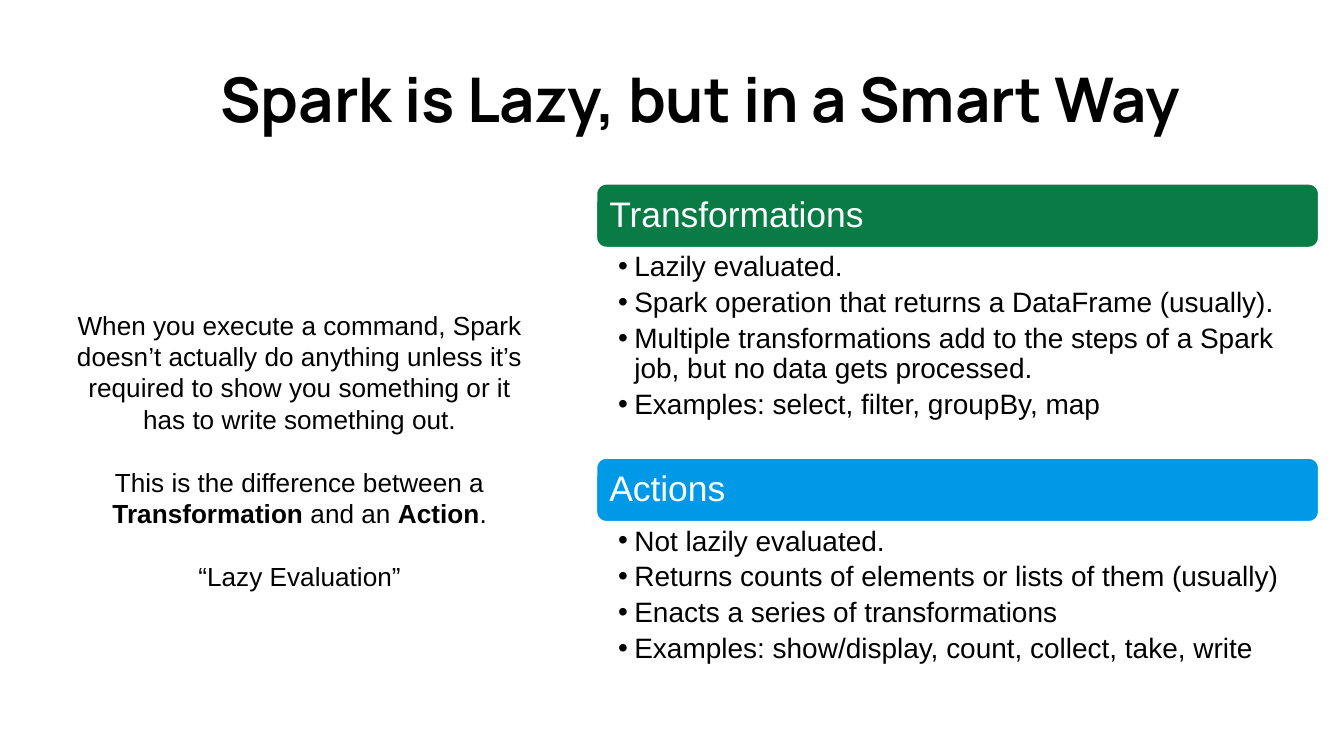
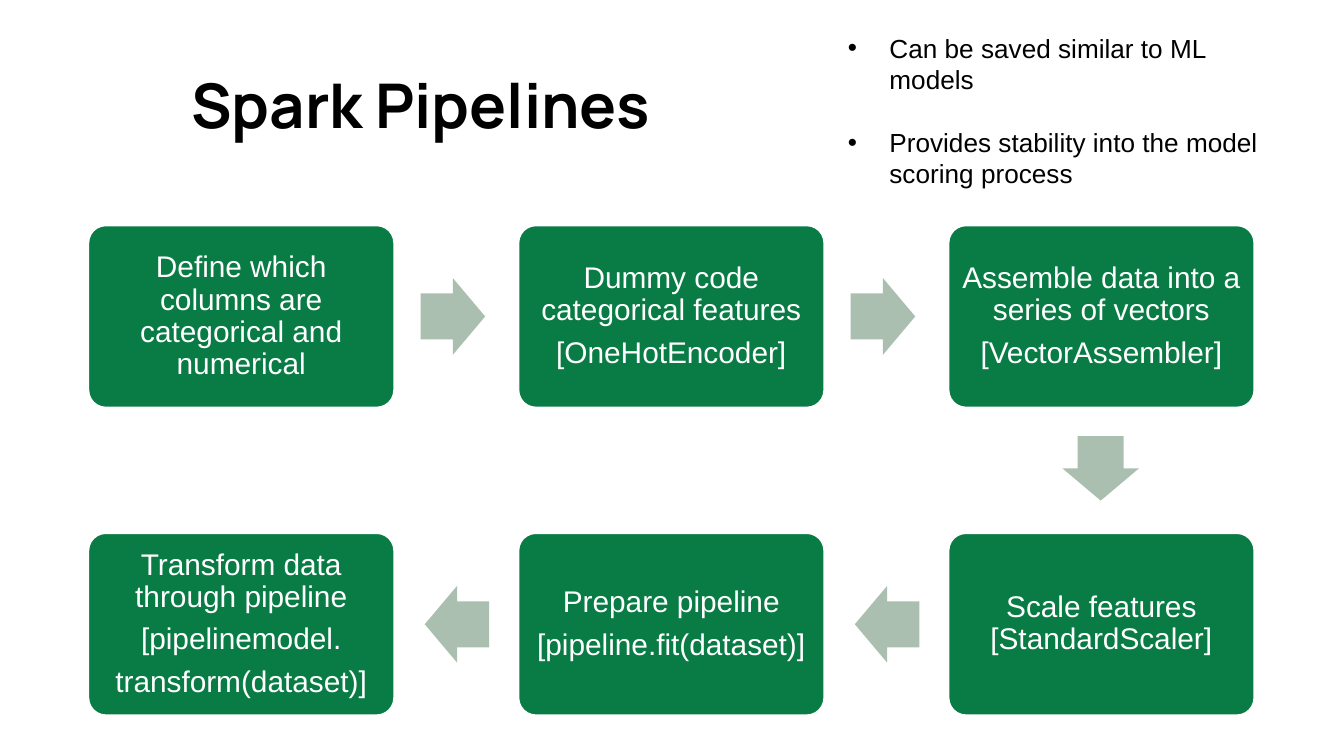
"""Two slides on lazy evaluation and pipelines in Spark."""
from lxml import etree
from pptx import Presentation
from pptx.dml.color import RGBColor
from pptx.enum.shapes import MSO_SHAPE
from pptx.enum.text import MSO_ANCHOR, PP_ALIGN
from pptx.oxml.ns import qn
from pptx.util import Inches, Pt

ROUND = MSO_SHAPE.ROUNDED_RECTANGLE
ARROW = MSO_SHAPE.RIGHT_ARROW
TOP, MIDDLE = MSO_ANCHOR.TOP, MSO_ANCHOR.MIDDLE
LEFT, CENTER = PP_ALIGN.LEFT, PP_ALIGN.CENTER
HUES = {"black": "000000", "white": "FFFFFF", "green": "097C45",
        "blue": "0099E8", "sage": "ABBFB1"}


def write(shape, lines, size, hue="black", font="Arial", bold=False, align=LEFT,
          anchor=TOP, pads=(0.1, 0.05, 0.1, 0.05), lead=None, after=0, indent=0):
    """Fill a shape with paragraphs; every second part of a list is bold."""
    frame = shape.text_frame
    frame.word_wrap = True
    frame.vertical_anchor = anchor
    (frame.margin_left, frame.margin_top,
     frame.margin_right, frame.margin_bottom) = [Inches(pad) for pad in pads]
    for i, line in enumerate(lines):
        para = frame.paragraphs[0] if i == 0 else frame.add_paragraph()
        para.alignment = align
        if lead:
            para.line_spacing = lead
        para.space_after = Pt(after if i < len(lines) - 1 else 0)
        for j, part in enumerate([line] if isinstance(line, str) else line):
            run = para.add_run()
            run.text = part
            run.font.name = font
            run.font.size = Pt(size)
            run.font.bold = bold or j % 2 == 1
            run.font.color.rgb = RGBColor.from_string(HUES[hue])
        if indent:
            props = para._p.get_or_add_pPr()
            props.set("marL", str(Inches(indent)))
            props.set("indent", str(Inches(-indent)))
            etree.SubElement(props, qn("a:buFont")).set("typeface", font)
            etree.SubElement(props, qn("a:buChar")).set("char", "•")


def draw(slide, kind, box, hue, edge=None):
    """Add a filled preset shape, or a text box when kind is None."""
    place = [Inches(n) for n in box]
    if kind is None:
        return slide.shapes.add_textbox(*place)
    shape = slide.shapes.add_shape(kind, *place)
    shape.shadow.inherit = False
    shape.fill.solid()
    shape.fill.fore_color.rgb = RGBColor.from_string(HUES[hue])
    if edge:
        shape.line.color.rgb = RGBColor.from_string(HUES[edge])
        shape.line.width = Pt(2)
    else:
        shape.line.fill.background()
    return shape


deck = Presentation()
deck.slide_width, deck.slide_height = Inches(10), Inches(10 * 9 / 16)

slides = []
for title, box in [("Spark is Lazy, but in a Smart Way", (0.91, 0.35, 8.6, 0.69)),
                   ("Spark Pipelines", (0.53, 0.4, 5.2, 0.69))]:
    slide = deck.slides.add_slide(deck.slide_layouts[6])
    write(draw(slide, None, box, None), [title], 33, font="Manrope", bold=True,
          align=CENTER, pads=[0.1] * 4)
    slides.append(slide)
lazy, flow = slides

write(draw(lazy, None, (0.46, 2.25, 3.54, 2.22), None), [
    "When you execute a command, Spark doesn’t actually do anything unless it’s "
    "required to show you something or it has to write something out.",
    ["This is the difference between a ", "Transformation", " and an ", "Action", "."],
    "“Lazy Evaluation”"], 14, align=CENTER, after=16.8)

kinds = [
    ("Transformations", "green", 1.36, 1.55, [
        "Lazily evaluated.",
        "Spark operation that returns a DataFrame (usually).",
        "Multiple transformations add to the steps of a Spark job, "
        "but no data gets processed.",
        "Examples: select, filter, groupBy, map"]),
    ("Actions", "blue", 3.4, 1.08, [
        "Not lazily evaluated.",
        "Returns counts of elements or lists of them (usually)",
        "Enacts a series of transformations",
        "Examples: show/display, count, collect, take, write"])]
for name, hue, top, tall, points in kinds:
    bar = draw(lazy, ROUND, (4.43, top, 5.39, 0.49), hue, "white")
    write(bar, [name], 19, "white", anchor=MIDDLE, pads=[0.08] * 4, lead=0.9)
    body = draw(lazy, None, (4.43, top + 0.49, 5.39, tall), None)
    write(body, points, 15, pads=(0.17, 0.03, 0.15, 0.03), lead=0.9, after=3,
          indent=0.12)

steps = [
    ["Define which columns are categorical and numerical"],
    ["Dummy code categorical features", "[OneHotEncoder]"],
    ["Assemble data into a series of vectors", "[VectorAssembler]"],
    ["Scale features [StandardScaler]"],
    ["Prepare pipeline", "[pipeline.fit(dataset)]"],
    ["Transform data through pipeline", "[pipelinemodel.", "transform(dataset)]"]]
for i, lines in enumerate(steps):
    row = i // 3
    col = 5 - i if row else i
    left, top = 0.65 + 3.2 * col, 1.67 + 2.29 * row
    step = draw(flow, ROUND, (left, top, 2.29, 1.37), "green", "white")
    step.adjustments[0] = 0.1
    write(step, lines, 16, "white", align=CENTER, anchor=MIDDLE, pads=[0.07] * 4,
          lead=0.9, after=5.6)
    if i == len(steps) - 1:
        break
    if i == 2:
        x, y, turn = left + 0.9, top + 1.53, 90
    elif row:
        x, y, turn = left - 0.69, top + 0.4, 180
    else:
        x, y, turn = left + 2.48, top + 0.4, 0
    arrow = draw(flow, ARROW, (x, y, 0.48, 0.57), "sage")
    arrow.adjustments[0], arrow.adjustments[1] = 0.6, 0.5
    arrow.rotation = turn

write(draw(flow, None, (6.21, 0.19, 3.26, 1.28), None),
      ["Can be saved similar to ML models",
       "Provides stability into the model scoring process"],
      14, after=16.8, indent=0.31)

deck.save("out.pptx")
